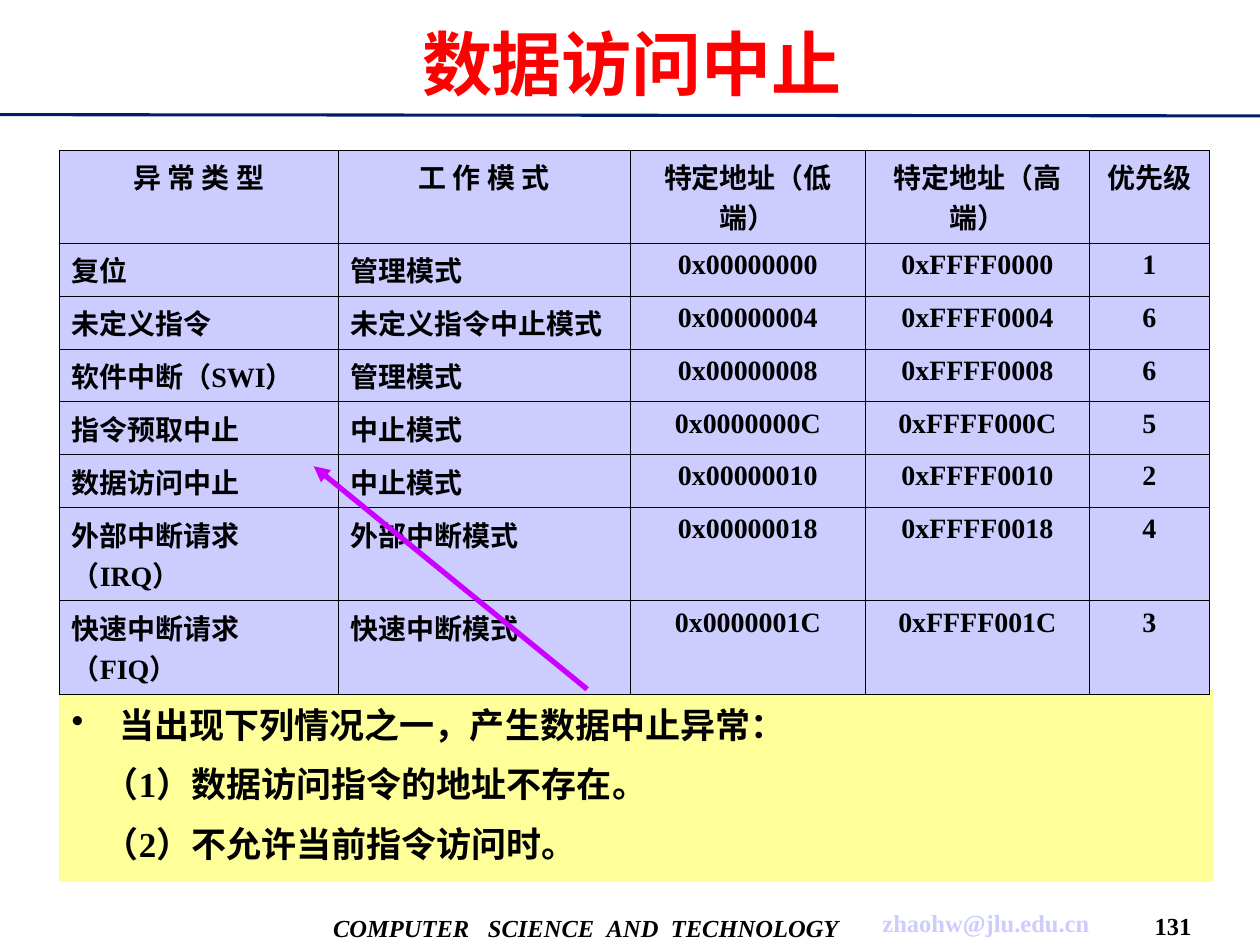
from collections import namedtuple

from lxml import etree
from pptx import Presentation
from pptx.dml.color import RGBColor
from pptx.enum.shapes import MSO_CONNECTOR, MSO_SHAPE
from pptx.enum.text import MSO_ANCHOR, PP_ALIGN
from pptx.oxml.ns import qn
from pptx.util import Inches, Pt

LEFT, CENTER = PP_ALIGN.LEFT, PP_ALIGN.CENTER
TOP, MIDDLE = MSO_ANCHOR.TOP, MSO_ANCHOR.MIDDLE
STRAIGHT, RECTANGLE = MSO_CONNECTOR.STRAIGHT, MSO_SHAPE.RECTANGLE

COLORS = {
    "title": "FF0000", "rule": "001E64", "text": "000000", "cell": "CCCCFF",
    "mail": "CCCCFF", "note": "FFFF99", "arrow": "CC00FF",
}
SERIF, SANS = "Times New Roman", "Arial"

# The page is a grid of 100 columns by 75 rows.
COLUMNS, ROWS = 100, 75
UNIT = Inches(10) / COLUMNS
Box = namedtuple("Box", "left top width height")

TITLE_BOX = Box(3.3, 0.8, 93.7, 8.3)
TABLE_BOX = Box(4.7, 11.9, 91.3, 43.2)
NOTE_BOX = Box(4.7, 54.7, 91.6, 15.3)
FOOTER_BOX = Box(25.5, 71.5, 69.8, 4.2)

COLUMN_WIDTHS = [22.15, 23.15, 18.7, 17.75, 9.55]
TALL_ROW, LOW_ROW = 7.4, 4.2
HEADERS = ["异 常 类 型", "工 作 模 式", "特定地址（低端）", "特定地址（高端）", "优先级"]
EXCEPTIONS = [
    ("复位", "管理模式", "00", 1),
    ("未定义指令", "未定义指令中止模式", "04", 6),
    ("软件中断（SWI）", "管理模式", "08", 6),
    ("指令预取中止", "中止模式", "0C", 5),
    ("数据访问中止", "中止模式", "10", 2),
    ("外部中断请求（IRQ）", "外部中断模式", "18", 4),
    ("快速中断请求（FIQ）", "快速中断模式", "1C", 3),
]
NOTE_LEAD = "当出现下列情况之一，产生数据中止异常："
NOTE_CASES = ["（1）数据访问指令的地址不存在。", "（2）不允许当前指令访问时。"]


def grid(count):
    return round(count * UNIT)


def place(box):
    return [grid(value) for value in box]


def rgb(name):
    return RGBColor.from_string(COLORS[name])


def add_span(para, text, size, color="text", font=SERIF, italic=False):
    span = para.add_run()
    span.text = text
    span.font.size = Pt(size)
    span.font.name = font
    span.font.bold = True
    span.font.italic = italic
    span.font.color.rgb = rgb(color)
    return span


def add_label(page, box, wrap=False):
    """Add a centred text box and return its empty first paragraph."""
    frame = page.shapes.add_textbox(*place(box)).text_frame
    frame.word_wrap = wrap
    frame.margin_left = frame.margin_right = 0
    frame.vertical_anchor = MIDDLE
    para = frame.paragraphs[0]
    para.alignment = CENTER
    return para


def add_line(page, start, end, color, width):
    line = page.shapes.add_connector(STRAIGHT, *place(start + end))
    line.line.color.rgb = rgb(color)
    line.line.width = Pt(width)
    etree.SubElement(line._element.spPr, qn("a:effectLst"))
    return line


def add_title(page, box):
    add_span(add_label(page, box, wrap=True), "数据访问中止", 40, "title")
    add_line(page, (0, 9.1), (COLUMNS, 9.2), "rule", 1.75)


def add_borders(cell):
    properties = cell._tc.get_or_add_tcPr()
    for side in ("lnL", "lnR", "lnT", "lnB"):
        border = etree.SubElement(properties, qn(f"a:{side}"), w=str(Pt(0.45)))
        fill = etree.SubElement(border, qn("a:solidFill"))
        etree.SubElement(fill, qn("a:srgbClr"), val=COLORS["text"])


def fill_cell(cell, text, align, font):
    add_borders(cell)
    cell.fill.solid()
    cell.fill.fore_color.rgb = rgb("cell")
    para = cell.text_frame.paragraphs[0]
    para.alignment = align
    add_span(para, text, 16, font=font)


def add_exception_table(page, box):
    records = [HEADERS] + [
        (kind, mode, f"0x000000{offset}", f"0xFFFF00{offset}", str(priority))
        for kind, mode, offset, priority in EXCEPTIONS
    ]
    table = page.shapes.add_table(len(records), len(HEADERS), *place(box)).table
    table.first_row = table.horz_banding = False
    for column, width in zip(table.columns, COLUMN_WIDTHS):
        column.width = grid(width)
    for index, record in enumerate(records):
        is_header = index == 0
        is_tall = is_header or index >= len(records) - 2
        table.rows[index].height = grid(TALL_ROW if is_tall else LOW_ROW)
        for position, text in enumerate(record):
            align = CENTER if is_header or position > 1 else LEFT
            fill_cell(table.cell(index, position), text, align,
                      SANS if is_header else SERIF)


def add_note(page, box):
    note = page.shapes.add_shape(RECTANGLE, *place(box))
    note.shadow.inherit = False
    note.fill.solid()
    note.fill.fore_color.rgb = rgb("note")
    note.line.fill.background()
    frame = note.text_frame
    frame.word_wrap = True
    frame.vertical_anchor = TOP
    for index, text in enumerate([NOTE_LEAD] + NOTE_CASES):
        para = frame.paragraphs[0] if index == 0 else frame.add_paragraph()
        para.alignment = LEFT
        para.line_spacing = 1.2
        properties = para._p.get_or_add_pPr()
        if index == 0:
            properties.set("marL", str(grid(3.8)))
            properties.set("indent", str(-grid(3.8)))
            etree.SubElement(properties, qn("a:buChar"), char="•")
        else:
            para.space_before = Pt(5)
            properties.set("marL", str(grid(2.55)))
        add_span(para, text, 20)


def add_footer(page, box):
    motto = add_label(page, Box(box.left, box.top, 42, box.height))
    for word, gap in [("COMPUTER", 7), ("SCIENCE", 3.5), ("AND", 3.5), ("TECHNOLOGY", 0)]:
        add_span(motto, word, 14, italic=True)
        if gap:
            space = add_span(motto, " ", 14, italic=True)
            space.font._element.set("spc", str(round(gap * 100)))
    mail = add_label(page, Box(box.left + 43.7, box.top - 0.1, 18.1, 3.6))
    add_span(mail, "zhaohw@jlu.edu.cn", 14, "mail")
    number = add_label(page, Box(box.left + 65.4, box.top + 0.4, 4.4, 3.1))
    add_span(number, "131", 14)


def add_pointer(page, start, end):
    arrow = add_line(page, start, end, "arrow", 3)
    etree.SubElement(arrow.line._get_or_add_ln(), qn("a:tailEnd"), type="triangle")


def main():
    deck = Presentation()
    deck.slide_width, deck.slide_height = grid(COLUMNS), grid(ROWS)
    page = deck.slides.add_slide(deck.slide_layouts[6])
    add_footer(page, FOOTER_BOX)
    add_title(page, TITLE_BOX)
    add_note(page, NOTE_BOX)
    add_exception_table(page, TABLE_BOX)
    add_pointer(page, (46.6, 54.7), (24.9, 37))
    deck.save("out.pptx")


if __name__ == "__main__":
    main()
